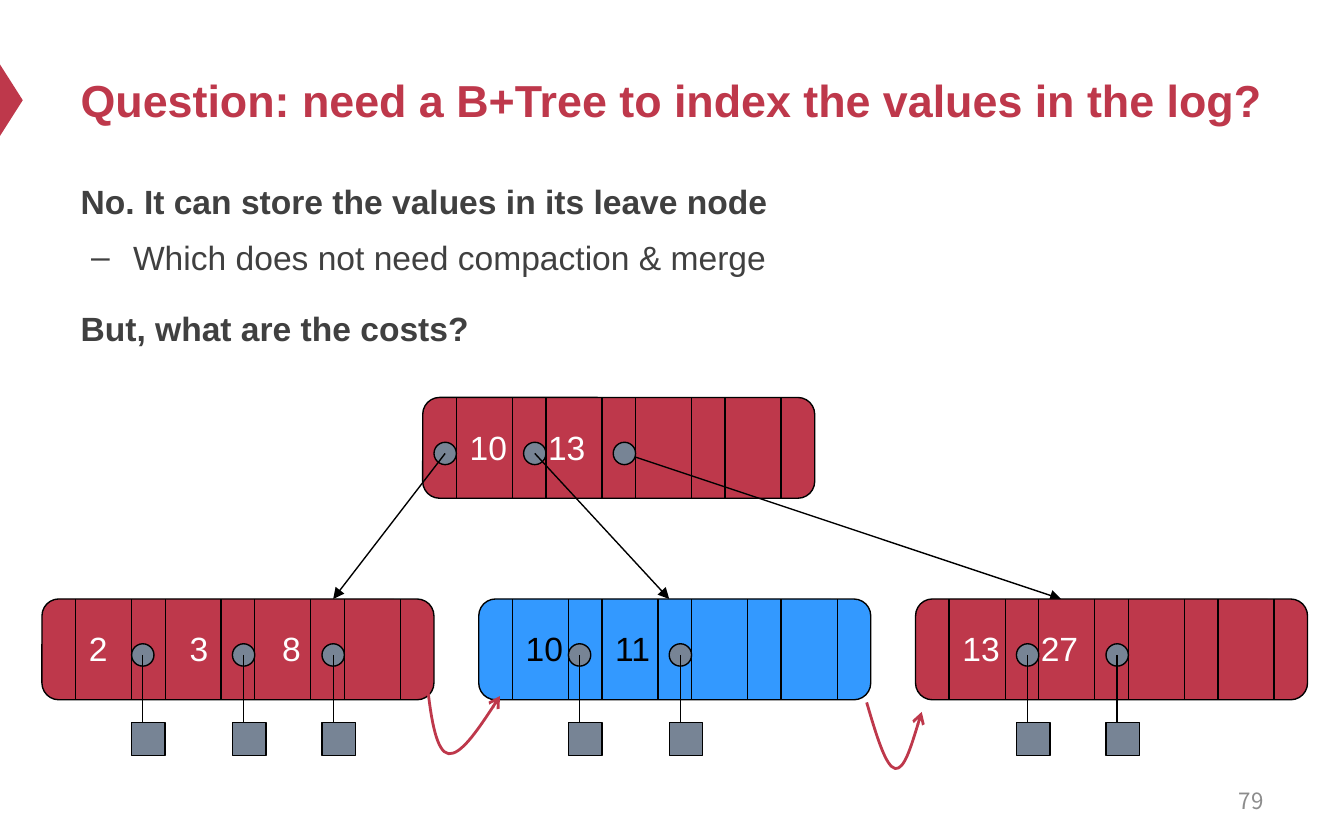
from itertools import accumulate, cycle, islice

from lxml import etree
from pptx import Presentation
from pptx import util as u
from pptx.dml.color import RGBColor
from pptx.enum import shapes, text
from pptx.oxml import ns

RED, BLUE, GREY, DARK, BLACK, WHITE = "BE384B", "3399FF", "778495", "404040", "000000", "FFFFFF"
UNIT = 2.54 / 12
NODE_WIDTH, NODE_HEIGHT = 35, 9
ROOT_TOP, LEAF_TOP = 35.5, 53.5
DIVIDERS = list(accumulate(islice(cycle([3, 5]), 8)))


def colour(value):
    return RGBColor.from_string(value)


def outline(item, stroke=BLACK, width=0.75, head=None):
    item.line.color.rgb = colour(stroke)
    item.line.width = u.Pt(width)
    if head:
        etree.SubElement(item.line._get_or_add_ln(), ns.qn("a:tailEnd"), type=head)
    properties = item._element.spPr
    if properties.find(ns.qn("a:effectLst")) is None:
        etree.SubElement(properties, ns.qn("a:effectLst"))


deck = Presentation()
deck.slide_width, deck.slide_height = u.Cm(25.4), u.Cm(15.88)
page = deck.slides.add_slide(deck.slide_layouts[1])
drawing = page.shapes

marker = drawing.add_shape(shapes.MSO_SHAPE.ISOSCELES_TRIANGLE, u.Cm(-0.46), u.Cm(1.68), u.Cm(1.35), u.Cm(0.43))
marker.rotation = 90
marker.shadow.inherit = False
marker.fill.solid()
marker.fill.fore_color.rgb = colour(RED)
marker.line.fill.background()

title = drawing.title
title.left, title.top, title.width, title.height = u.Cm(1.27), u.Cm(0.64), u.Cm(22.86), u.Cm(2.49)
title.text_frame.text = "Question: need a B+Tree to index the values in the log?"
title.text_frame.auto_size = text.MSO_AUTO_SIZE.NONE
title.text_frame.vertical_anchor = text.MSO_ANCHOR.MIDDLE
para = title.text_frame.paragraphs[0]
para.alignment = text.PP_ALIGN.LEFT
para.font.name, para.font.size, para.font.bold = "Arial", u.Pt(24), True
para.font.color.rgb = colour(RED)

body = page.placeholders[1]
body.left, body.top, body.width, body.height = u.Cm(1.27), u.Cm(3.15), u.Cm(22.86), u.Cm(10.46)
body.text_frame.auto_size = text.MSO_AUTO_SIZE.NONE
points = [
    ("No. It can store the values in its leave node", 0, 0),
    ("Which does not need compaction & merge", 1, 4),
    ("But, what are the costs?", 0, 12),
]
body.text_frame.text = "\n".join(words for words, level, gap in points)
for para, (words, level, gap) in zip(body.text_frame.paragraphs, points):
    para.level = level
    settings = para._p.get_or_add_pPr()
    settings.set("marL", str(u.Cm(0.99 * level)))
    settings.set("indent", str(u.Cm(-0.79 * level)))
    if level:
        etree.SubElement(settings, ns.qn("a:buChar"), char="–")
    else:
        etree.SubElement(settings, ns.qn("a:buNone"))
    para.line_spacing = 1.2
    para.space_before = u.Pt(gap)
    para.font.name, para.font.size, para.font.bold = "Arial", u.Pt(18), level == 0
    para.font.color.rgb = colour(DARK)

nodes = [
    (37.75, ROOT_TOP, RED, WHITE, [("10", 3), ("13", 10)], [1, 9, 17]),
    (3.75, LEAF_TOP, RED, WHITE, [("2", 3), ("3", 12), ("8", 20.25)], [8, 17, 25]),
    (42.75, LEAF_TOP, BLUE, BLACK, [("10", 3), ("11", 11)], [8, 17]),
    (81.75, LEAF_TOP, RED, WHITE, [("13", 3), ("27", 10)], [9, 17]),
]
parts, lines = [], []
links = [
    (38.75 + 1, ROOT_TOP + 5, 29.75, LEAF_TOP, "triangle"),
    (46.75 + 1, ROOT_TOP + 5, 59.75, LEAF_TOP, "triangle"),
    (56.75, ROOT_TOP + 5.33, 94.75, LEAF_TOP, "triangle"),
]
for left, top, fill, ink, keys, pointers in nodes:
    parts = [(shapes.MSO_SHAPE.ROUNDED_RECTANGLE, left, top, NODE_WIDTH, NODE_HEIGHT, fill)]
    parts += [(shapes.MSO_SHAPE.OVAL, left + x, top + 4, 2, 2, GREY) for x in pointers]
    lines = [(left + x, top, left + x, top + NODE_HEIGHT, None) for x in DIVIDERS]
    squares = []
    if top == LEAF_TOP:
        lines += [(left + x + 1, top + 5, left + x + 1, top + 13, "triangle") for x in pointers]
        squares = [(shapes.MSO_SHAPE.RECTANGLE, left + x, top + 11, 3, 3, GREY) for x in pointers]
    else:
        lines += links

    for group in (parts[:1], lines[:8], parts[1:], lines[8:], squares):
        for entry in group:
            if group in (parts[:1], parts[1:], squares):
                kind, *frame, paint = entry
                item = drawing.add_shape(kind, *[u.Cm(n * UNIT) for n in frame])
                item.shadow.inherit = False
                item.fill.solid()
                item.fill.fore_color.rgb = colour(paint)
                outline(item)
            else:
                *ends, head = entry
                item = drawing.add_connector(shapes.MSO_CONNECTOR.STRAIGHT, *[u.Cm(n * UNIT) for n in ends])
                outline(item, head=head)

    for key, x in keys:
        width = 4 if len(key) == 1 else 5.75
        box = drawing.add_textbox(*[u.Cm(n * UNIT) for n in (left + x, top + 2, width, 4.8)])
        box.text_frame.word_wrap = False
        box.text_frame.text = key
        para = box.text_frame.paragraphs[0]
        para.font.name, para.font.size = "Arial", u.Pt(18)
        para.font.color.rgb = colour(ink)

curves = [
    [(8.08, 12.98), (8.15, 13.61), (8.25, 14.22), (8.48, 14.25), (8.71, 14.27), (9.09, 13.72), (9.45, 13.16)],
    [(16.38, 13.28), (16.56, 13.89), (16.74, 14.5), (16.92, 14.53), (17.09, 14.55), (17.25, 14.02), (17.42, 13.46)],
]
for curve in curves:
    start, *rest = [(u.Cm(x), u.Cm(y)) for x, y in curve]
    builder = drawing.build_freeform(*start)
    builder.add_line_segments(rest, close=False)
    leaf_link = builder.convert_to_shape()
    leaf_link.shadow.inherit = False
    leaf_link.fill.background()
    outline(leaf_link, RED, 1.5, "arrow")
    route = leaf_link._element.find(".//" + ns.qn("a:path"))
    segments = route.findall(ns.qn("a:lnTo"))
    for index in range(0, len(segments), 3):
        bend = etree.SubElement(route, ns.qn("a:cubicBezTo"))
        for segment in segments[index:index + 3]:
            bend.append(segment[0])
            route.remove(segment)

number = drawing.add_textbox(u.Cm(18.21), u.Cm(14.71), u.Cm(5.92), u.Cm(0.84))
number.text_frame.word_wrap = True
number.text_frame.vertical_anchor = text.MSO_ANCHOR.MIDDLE
number.text_frame.text = "79"
para = number.text_frame.paragraphs[0]
para.alignment = text.PP_ALIGN.RIGHT
para.font.name, para.font.size = "Noto Sans CJK SC", u.Pt(12)
para.font.color.rgb = colour("8C8C8C")

deck.save("out.pptx")
